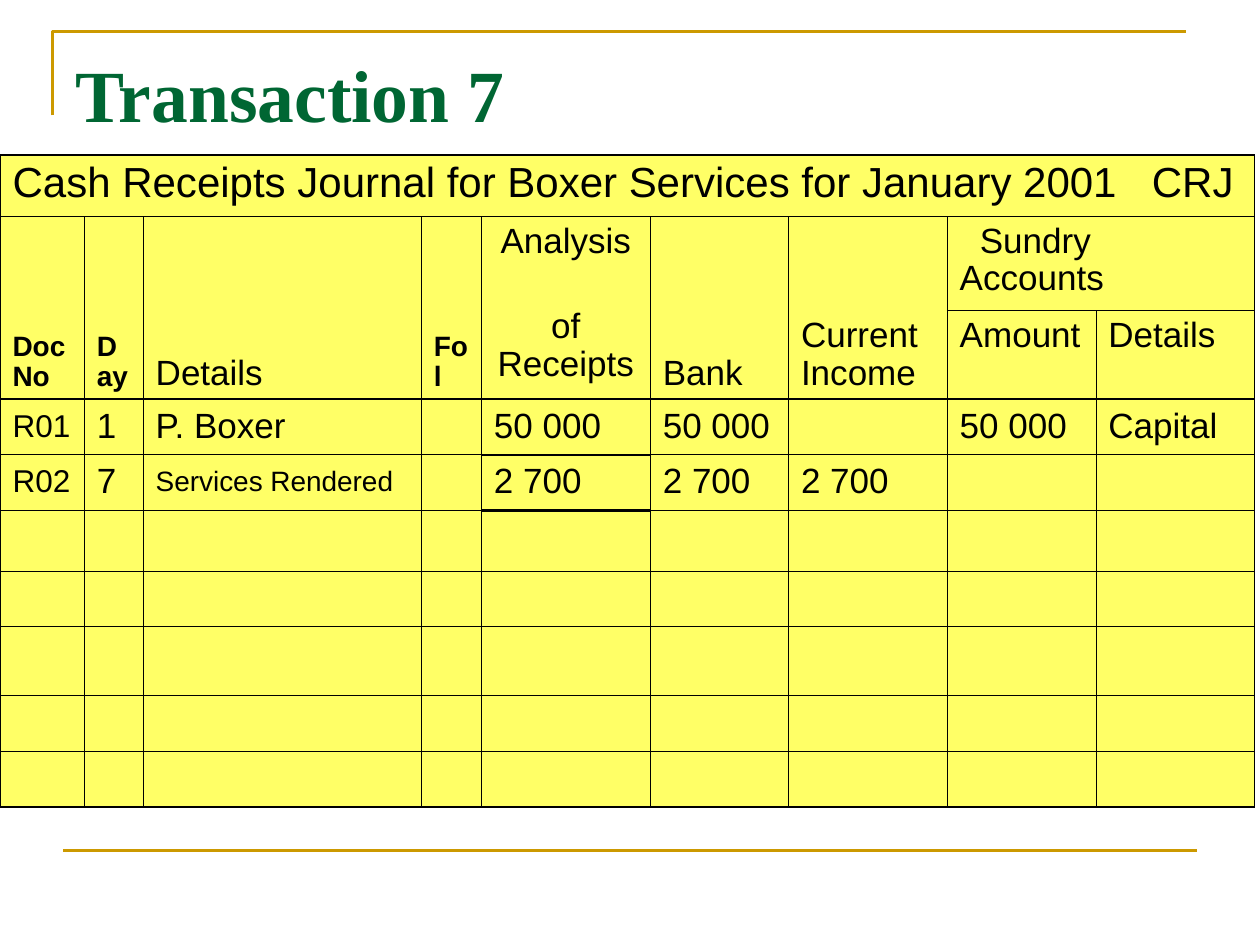
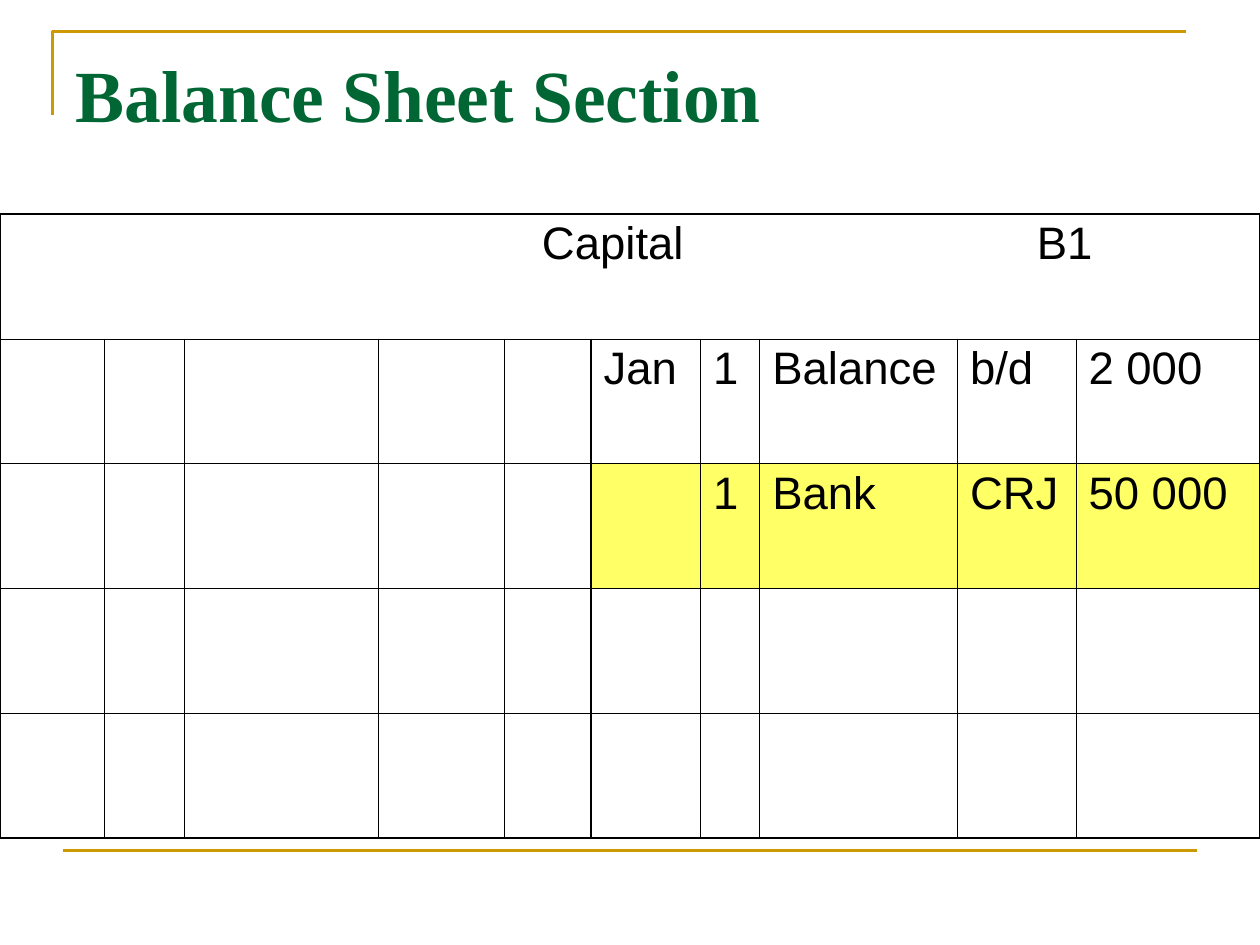
from itertools import product
from lxml.etree import SubElement
from pptx import Presentation
from pptx.dml.color import RGBColor
from pptx.enum.shapes import MSO_CONNECTOR
from pptx.enum.text import MSO_ANCHOR, PP_ALIGN
from pptx.oxml.ns import qn
from pptx.util import Pt

GREEN, GOLD, YELLOW, BLACK = "006633", "CC9900", "FFFF66", "000000"
THIN, OUTER, HEAVY = 0.45, 1.08, 1.47
PLAIN_GRID = "{2D5ABB26-0587-4C30-8999-92F81FD0307C}"


def color(code):
    return RGBColor.from_string(code)


def assign(target, values):
    for name, value in values.items():
        setattr(target, name, value)


class Deck:
    def __init__(self):
        self.prs = Presentation()
        assign(self.prs, {"slide_width": Pt(720), "slide_height": Pt(540)})
        self.slide = None

    def page(self, title):
        self.slide = self.prs.slides.add_slide(self.prs.slide_layouts[6])
        self.corner()
        self.rule(36, 486, 684)
        self.title(title)

    def corner(self):
        """Draw the open bracket at the top left of the slide."""
        pen = self.slide.shapes.build_freeform(Pt(30), Pt(66))
        pen.add_line_segments([(Pt(30), Pt(18)), (Pt(678), Pt(18))], close=False)
        shape = pen.convert_to_shape()
        shape.shadow.inherit = False
        shape.fill.background()
        self.stroke(shape)

    def rule(self, left, top, right):
        line = self.slide.shapes.add_connector(
            MSO_CONNECTOR.STRAIGHT, Pt(left), Pt(top), Pt(right), Pt(top))
        self.stroke(line)
        SubElement(line._element.spPr, qn("a:effectLst"))

    def stroke(self, shape):
        shape.line.color.rgb = color(GOLD)
        shape.line.width = Pt(1.5)

    def title(self, text):
        box = self.slide.shapes.add_textbox(Pt(36), Pt(21.6), Pt(648), Pt(90))
        assign(box.text_frame, {"word_wrap": True, "margin_top": Pt(9)})
        self.words(box.text_frame, text, size=42, bold=True,
                   face="Times New Roman", ink=GREEN)

    def words(self, frame, text, size, bold=False, face="Arial", ink=BLACK,
              align=PP_ALIGN.LEFT, gap=0, indent=0, tabs=()):
        """Fill a frame, one paragraph a line; gap parts the paragraphs."""
        for i, line in enumerate(text.split("\n")):
            para = frame.add_paragraph() if i else frame.paragraphs[0]
            assign(para, {"alignment": align, "line_spacing": 0.97})
            if i:
                para.space_before = Pt(gap)
            props = para._p.get_or_add_pPr()
            if indent:
                props.set("indent", str(Pt(indent)))
            if tabs:
                stops = SubElement(props, qn("a:tabLst"))
                for stop in tabs:
                    SubElement(stops, qn("a:tab"), pos=str(Pt(stop)), algn="l")
            run = para.add_run()
            run.text = line
            assign(run.font, {"size": Pt(size), "bold": bold, "name": face})
            run.font.color.rgb = color(ink)

    def table(self, top, cols, rows, spans, cells, size, fills, heavy):
        """Draw a ruled table.

        spans: (row, col) -> (rows, cols) of a merged cell
        cells: (row, col) -> (text, anchor, formats)
        heavy: cell sides, as (row, col, side), with a heavy line
        """
        frame = self.slide.shapes.add_table(
            len(rows), len(cols), 0, Pt(top), Pt(sum(cols)), Pt(sum(rows)))
        grid = frame.table
        assign(grid, {"first_row": False, "horz_banding": False})
        grid._tbl.tblPr.find(qn("a:tableStyleId")).text = PLAIN_GRID
        for col, width in zip(grid.columns, cols):
            col.width = Pt(width)
        for row, height in zip(grid.rows, rows):
            row.height = Pt(height)
        for (r, c), (high, wide) in spans.items():
            grid.cell(r, c).merge(grid.cell(r + high - 1, c + wide - 1))
        for r, c in product(range(len(rows)), range(len(cols))):
            cell = grid.cell(r, c)
            if cell.is_spanned:
                continue
            high, wide = spans.get((r, c), (1, 1))
            edges = {"L": c == 0, "R": c + wide == len(cols),
                     "T": r == 0, "B": r + high == len(rows)}
            for side, outer in edges.items():
                weight = OUTER if outer else THIN
                self.border(cell, side, HEAVY if (r, c, side) in heavy else weight)
            if (r, c) in fills:
                cell.fill.solid()
                cell.fill.fore_color.rgb = color(YELLOW)
            else:
                cell.fill.background()
            if (r, c) in cells:
                text, anchor, style = cells[r, c]
                cell.vertical_anchor = anchor
                self.words(cell.text_frame, text, **{"size": size, **style})

    def border(self, cell, side, weight):
        props = cell._tc.get_or_add_tcPr()
        line = SubElement(props, qn(f"a:ln{side}"), w=str(Pt(weight)))
        SubElement(SubElement(line, qn("a:solidFill")), qn("a:srgbClr"), val=BLACK)


def lay(row, texts, anchor, styles=()):
    """Key a row of texts by place, leaving out the empty ones."""
    styles = dict(styles)
    return {(row, c): (text, anchor, styles.get(c, {}))
            for c, text in enumerate(texts) if text}


def journal(deck):
    deck.page("Transaction 7")
    top, mid, low = MSO_ANCHOR.TOP, MSO_ANCHOR.MIDDLE, MSO_ANCHOR.BOTTOM
    cols = [48.2, 33.6, 159, 34.3, 96.5, 79, 90.7, 85, 90.7]
    rows = [31.8, 31.8, 45.4, 31.8, 31.8, 34.6, 31.8, 39.6, 31.8, 31.8]
    small = {"size": 16, "bold": True}
    code = {"size": 18}
    cells = {
        **lay(0, ["Cash Receipts Journal for Boxer Services for January 2001\tCRJ"],
              top, {0: {"size": 24, "tabs": [651]}}),
        **lay(1, ["Doc No", "Day", "Details", "Fol", "", "Bank", "Current Income"],
              low, {0: small, 1: small, 3: small}),
        (1, 4): ("Analysis\nof Receipts", top,
                 {"align": PP_ALIGN.CENTER, "gap": 27.3}),
        (1, 7): ("Sundry Accounts", top, {"indent": 11.5}),
        **lay(2, [""] * 7 + ["Amount", "Details"], top),
        **lay(3, ["R01", "1", "P. Boxer", "", "50 000", "50 000", "",
                  "50 000", "Capital"], mid, {0: code}),
        **lay(4, ["R02", "7", "Services Rendered", "", "2 700", "2 700", "2 700"],
              mid, {0: code, 2: {"size": 16}}),
    }
    spans = {(0, 0): (1, 9), (1, 7): (1, 2), **{(1, c): (2, 1) for c in range(7)}}
    heavy = {(1 if c < 7 else 2, c, "B") for c in range(9)}
    heavy |= {(3, c, "T") for c in range(9)}
    heavy |= {(3, 4, "B"), (4, 4, "T"), (4, 4, "B"), (5, 4, "T")}
    fills = set(product(range(len(rows)), range(len(cols))))
    deck.table(88.5, cols, rows, spans, cells, 20, fills, heavy)


def ledger(deck):
    deck.page("Balance Sheet Section")
    top = MSO_ANCHOR.TOP
    cols = [59.8, 45.4, 110.9, 72, 49.7, 62.6, 33.8, 113, 67.7, 105.1]
    cells = {
        **lay(0, ["\tCapital\tB1"], top, {0: {"tabs": [302.5, 585.3]}}),
        **lay(1, [""] * 5 + ["Jan", "1", "Balance", "b/d", "2 000"], top),
        **lay(2, [""] * 6 + ["1", "Bank", "CRJ", "50 000"], top),
    }
    heavy = {(r, c, side) for r in range(1, 5) for c, side in [(4, "R"), (5, "L")]}
    fills = {(2, c) for c in range(5, 10)}
    deck.table(122.4, cols, [71.3] * 5, {(0, 0): (1, 10)}, cells, 26, fills, heavy)


def main():
    deck = Deck()
    journal(deck)
    ledger(deck)
    deck.prs.save("out.pptx")


if __name__ == "__main__":
    main()
